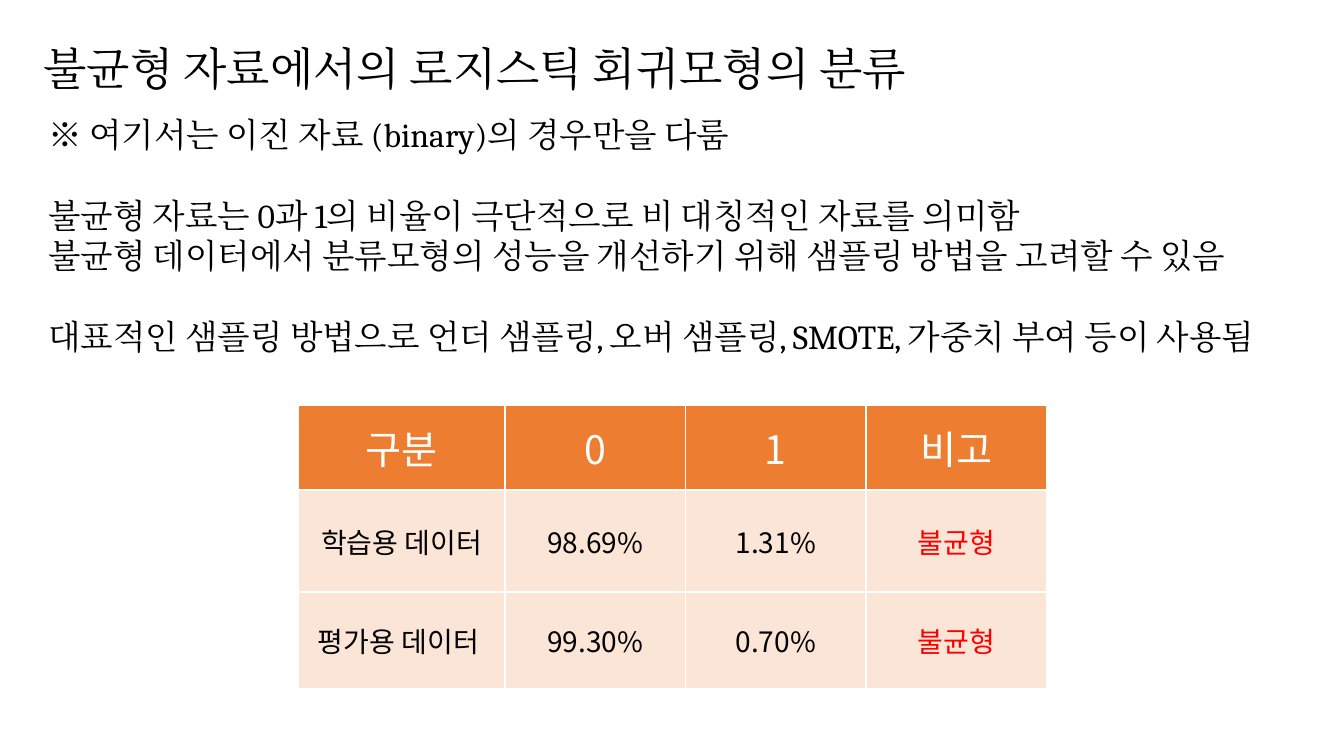
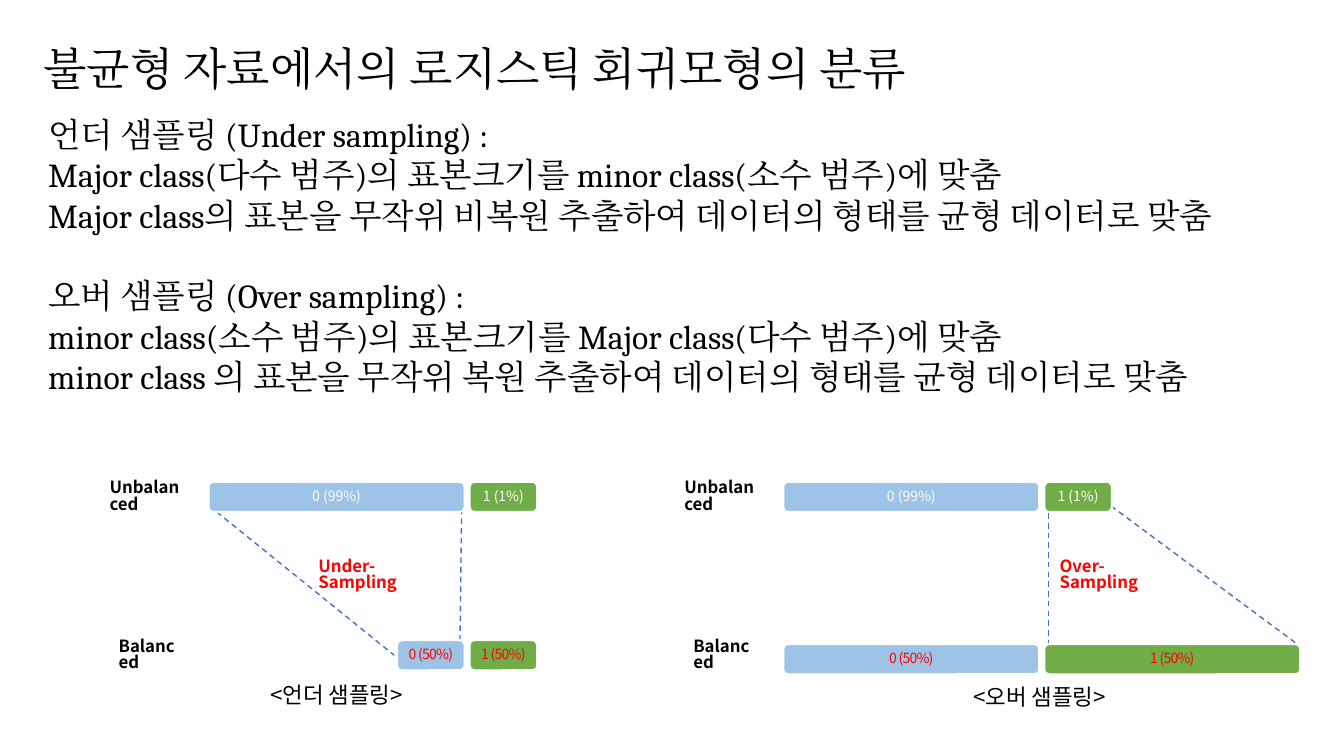
from lxml import etree
from pptx import Presentation
from pptx.dml.color import RGBColor
from pptx.enum.dml import MSO_LINE
from pptx.enum.shapes import MSO_CONNECTOR, MSO_SHAPE
from pptx.enum.text import MSO_ANCHOR, PP_ALIGN
from pptx.oxml.ns import qn
from pptx.util import Inches, Pt

# Shared style
COLORS = {
    "text": "000000", "white": "FFFFFF", "accent": "FF0000", "header": "ED7D31",
    "row": "FBE5D6", "major": "9DC3E6", "minor": "70AD47", "guide": "4472C4",
}
SERIF, SANS = "Cambria", "Noto Sans CJK KR"
SANS_SPACING = 0.83
BODY_LINE = 29  # points from one body line to the next

# Content: each body is a list of groups, each group a list of lines
TITLE = "불균형 자료에서의 로지스틱 회귀모형의 분류"
IMBALANCE_BODY = [
    ["※ 여기서는 이진 자료 (binary)의 경우만을 다룸"],
    ["불균형 자료는 0과 1의 비율이 극단적으로 비 대칭적인 자료를 의미함",
     "불균형 데이터에서 분류모형의 성능을 개선하기 위해 샘플링 방법을 고려할 수 있음"],
    ["대표적인 샘플링 방법으로 언더 샘플링, 오버 샘플링, SMOTE, 가중치 부여 등이 사용됨"],
]
SAMPLING_BODY = [
    ["언더 샘플링 (Under sampling) :",
     "Major class(다수 범주)의 표본크기를 minor class(소수 범주)에 맞춤",
     "Major class의 표본을 무작위 비복원 추출하여 데이터의 형태를 균형 데이터로 맞춤"],
    ["오버 샘플링 (Over sampling) :",
     "minor class(소수 범주)의 표본크기를 Major class(다수 범주)에 맞춤",
     "minor class 의 표본을 무작위 복원 추출하여 데이터의 형태를 균형 데이터로 맞춤"],
]
RATIO_TABLE = [
    ["구분", "0", "1", "비고"],
    ["학습용 데이터", "98.69%", "1.31%", "불균형"],
    ["평가용 데이터 ", "99.30%", "0.70%", "불균형"],
]

# Geometry in percent of the slide's width and height
COLUMN_SHARES = [15.38, 13.43, 13.43, 13.43]
ROW_SHARES = [11.2, 13.47, 12.8]
LONG_BAR, SHORT_BAR, BAR_GAP, BAR_HEIGHT = 19.05, 5.03, 0.37, 4
UNBALANCED_TOP = 63.73
PANELS = [
    {"left": 15.52, "balanced_top": 84.67, "balanced_width": SHORT_BAR,
     "method": ("Under-Sampling", 22.95, 11.18),
     "caption": ("<언더 샘플링>", 10.65, 90),
     "guides": [(16.13, 67.73, 29.33, 86.67), (34.36, 66, 34.21, 87.07)]},
    {"left": 58.28, "balanced_top": 85.2, "balanced_width": LONG_BAR,
     "method": ("Over-Sampling", 78.1, 10.35),
     "caption": ("<오버 샘플링>", 62.94, 90.27),
     "guides": [(78.02, 65.33, 78.02, 85.33), (82.67, 66.93, 96.62, 85.33)]},
]

presentation = Presentation()
presentation.slide_width, presentation.slide_height = Inches(13.33), Inches(7.5)


def across(share):
    return round(presentation.slide_width * share / 100)


def down(share):
    return round(presentation.slide_height * share / 100)


def area(left, top, width, height):
    return across(left), down(top), across(width), down(height)


def rgb(name):
    return RGBColor.from_string(COLORS[name])


def format_text(text_frame, size, color="text", font=SANS, bold=False,
                align=PP_ALIGN.LEFT, spacing=None, tracking=None):
    for paragraph in text_frame.paragraphs:
        paragraph.alignment = align
        paragraph.line_spacing = spacing
        for run in paragraph.runs:
            run.font.size, run.font.bold, run.font.name = Pt(size), bold, font
            run.font.color.rgb = rgb(color)
            properties = run.font._element
            etree.SubElement(properties, qn("a:ea")).set("typeface", font)
            if tracking is not None:
                properties.set("spc", str(round(tracking * 100)))


def add_text(slide, text, box, size, anchor=MSO_ANCHOR.TOP, **style):
    text_frame = slide.shapes.add_textbox(*area(*box)).text_frame
    text_frame.word_wrap = True
    text_frame.vertical_anchor = anchor
    text_frame.text = text
    format_text(text_frame, size, **style)
    return text_frame


def add_titled_slide(groups, body_height):
    slide = presentation.slides.add_slide(presentation.slide_layouts[5])
    title = slide.shapes.title
    title.left, title.top, title.width, title.height = area(2.5, 4.67, 92, 8.53)
    title.text_frame.text = TITLE
    title.text_frame.vertical_anchor = MSO_ANCHOR.TOP
    format_text(title.text_frame, 32, font=SERIF)

    lines = [line for group in groups for line in group]
    body = add_text(slide, "\n".join(lines), (2.85, 14.4, 95, body_height), 24, font=SERIF)
    start = 0
    for group in groups[:-1]:
        start += len(group)
        body.paragraphs[start].space_before = Pt(BODY_LINE)
    return slide


def add_cell_borders(cell, top, bottom):
    properties = cell._tc.get_or_add_tcPr()
    sides = {"a:lnL": 1.5, "a:lnR": 1.5, "a:lnT": top, "a:lnB": bottom}
    for position, (tag, width) in enumerate(sides.items()):
        border = etree.Element(qn(tag), w=str(Pt(width)))
        fill = etree.SubElement(border, qn("a:solidFill"))
        etree.SubElement(fill, qn("a:srgbClr")).set("val", COLORS["white"])
        properties.insert(position, border)


def add_ratio_table(slide):
    box = area(22.2, 53.6, sum(COLUMN_SHARES), sum(ROW_SHARES))
    table = slide.shapes.add_table(len(ROW_SHARES), len(COLUMN_SHARES), *box).table
    for column, share in zip(table.columns, COLUMN_SHARES):
        column.width = across(share)
    for row_index, (row, share) in enumerate(zip(table.rows, ROW_SHARES)):
        row.height = down(share)
        header = row_index == 0
        for column_index, cell in enumerate(row.cells):
            cell.text = RATIO_TABLE[row_index][column_index]
            remark = column_index == len(COLUMN_SHARES) - 1
            color = "white" if header else "accent" if remark else "text"
            format_text(cell.text_frame, 28 if header else 20, color, align=PP_ALIGN.CENTER)
            cell.vertical_anchor = MSO_ANCHOR.MIDDLE
            cell.margin_left = cell.margin_right = cell.margin_top = cell.margin_bottom = 0
            cell.fill.solid()
            cell.fill.fore_color.rgb = rgb("header" if header else "row")
            add_cell_borders(cell, 2.25 if row_index == 1 else 1.5, 2.25 if header else 1.5)


def add_guide(slide, x1, y1, x2, y2):
    guide = slide.shapes.add_connector(
        MSO_CONNECTOR.STRAIGHT, across(x1), down(y1), across(x2), down(y2))
    guide.line.color.rgb = rgb("guide")
    guide.line.width = Pt(1)
    guide.line.dash_style = MSO_LINE.DASH
    etree.SubElement(guide._element.spPr, qn("a:effectLst"))


def add_bar(slide, text, left, top, width, fill, color, tracking=None):
    bar = slide.shapes.add_shape(
        MSO_SHAPE.ROUNDED_RECTANGLE, *area(left, top, width, BAR_HEIGHT))
    bar.shadow.inherit = False
    bar.fill.solid()
    bar.fill.fore_color.rgb = rgb(fill)
    bar.line.color.rgb = rgb("white")
    bar.line.width = Pt(1.5)
    bar.text_frame.word_wrap = False
    bar.text_frame.vertical_anchor = MSO_ANCHOR.MIDDLE
    bar.text_frame.text = text
    format_text(bar.text_frame, 10, color, align=PP_ALIGN.CENTER,
                spacing=SANS_SPACING, tracking=tracking)


def add_panel(slide, panel):
    left, bottom_row, width = panel["left"], panel["balanced_top"], panel["balanced_width"]
    major_end = left + LONG_BAR
    minor_left = major_end + BAR_GAP
    for guide in panel["guides"]:
        add_guide(slide, *guide)

    # Bars: the major class ends and the minor class starts at the same split
    add_bar(slide, "0 (99%)", left, UNBALANCED_TOP, LONG_BAR, "major", "white")
    add_bar(slide, "1 (1%)", minor_left, UNBALANCED_TOP, SHORT_BAR, "minor", "white")
    add_bar(slide, "0 (50%)", major_end - width, bottom_row, width, "major", "accent", -0.5)
    add_bar(slide, "1 (50%)", minor_left, bottom_row, width, "minor", "accent", -0.5)

    # Labels and caption
    method, method_left, method_width = panel["method"]
    labels = [
        ("Unbalanced", (left - 8.1, UNBALANCED_TOP, 6.98, BAR_HEIGHT), "text"),
        ("Balanced", (left - 7.43, 84.7, 5.7, BAR_HEIGHT), "text"),
        (method, (method_left, 74.13, method_width, BAR_HEIGHT), "accent"),
    ]
    for text, box, color in labels:
        add_text(slide, text, box, 12, anchor=MSO_ANCHOR.MIDDLE, color=color,
                 bold=True, spacing=SANS_SPACING)
    caption, caption_left, caption_top = panel["caption"]
    add_text(slide, caption, (caption_left, caption_top, 28.8, 4.93), 16,
             align=PP_ALIGN.CENTER, spacing=SANS_SPACING)


# Slide 1: imbalanced data
add_ratio_table(add_titled_slide(IMBALANCE_BODY, 33.6))

# Slide 2: under- and over-sampling
sampling_slide = add_titled_slide(SAMPLING_BODY, 39.07)
for sampling_panel in PANELS:
    add_panel(sampling_slide, sampling_panel)

presentation.save("out.pptx")
